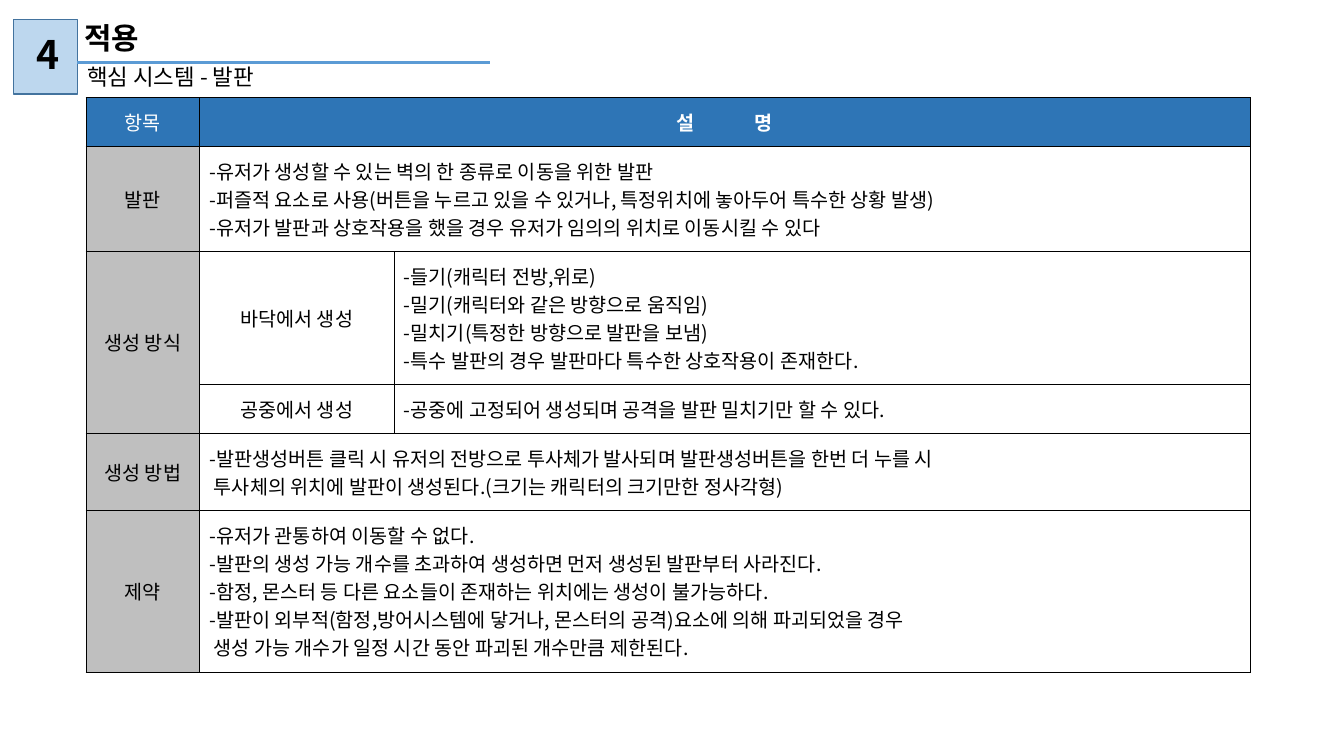
from pptx import Presentation
from pptx.dml.color import RGBColor
from pptx.enum.shapes import MSO_CONNECTOR, MSO_SHAPE
from pptx.enum.text import MSO_ANCHOR, PP_ALIGN
from pptx.oxml import parse_xml
from pptx.oxml.ns import nsdecls
from pptx.oxml.xmlchemy import OxmlElement
from pptx.util import Cm, Pt

KOREAN = "Noto Sans CJK KR"


def colour(code):
    return RGBColor.from_string(code)


def write(para, text, size=14, ink="000000", bold=False, font=KOREAN,
          align=PP_ALIGN.LEFT, leading=Pt(20), before=0):
    """Fill a paragraph; a newline in the text becomes a line break."""
    para.text = text
    para.alignment = align
    para.line_spacing = leading
    para.space_before = Pt(before)
    for span in para.runs:
        span.font.size = Pt(size)
        span.font.bold = bold
        span.font.name = font
        span.font.color.rgb = colour(ink)
        east_asian = OxmlElement("a:ea")
        east_asian.set("typeface", KOREAN)
        span.font._element.append(east_asian)


class Page:
    header_fill, label_fill = "2E75B6", "BFBFBF"
    line_height, inset = 0.71, 0.26

    def __init__(self, deck):
        self.shapes = deck.slides.add_slide(deck.slide_layouts[6]).shapes

    def rectangle(self, left, top, width, height, fill, edge):
        box = self.shapes.add_shape(MSO_SHAPE.RECTANGLE, Cm(left), Cm(top), Cm(width), Cm(height))
        box.shadow.inherit = False
        box.fill.solid()
        box.fill.fore_color.rgb = colour(fill)
        box.line.color.rgb = colour(edge)
        box.line.width = Pt(1)

    def rule(self, left, right, top, ink):
        line = self.shapes.add_connector(MSO_CONNECTOR.STRAIGHT, Cm(left), Cm(top), Cm(right), Cm(top))
        line.line.color.rgb = colour(ink)
        line.line.width = Pt(2)
        line._element.spPr.append(OxmlElement("a:effectLst"))

    def text(self, left, top, width, height, words, **style):
        box = self.shapes.add_textbox(Cm(left), Cm(top), Cm(width), Cm(height))
        box.text_frame.word_wrap = True
        box.text_frame.vertical_anchor = MSO_ANCHOR.MIDDLE
        write(box.text_frame.paragraphs[0], words, leading=0.9, **style)

    def table(self, left, top, widths, line_counts):
        heights = [self.line_height * count + 2 * self.inset for count in line_counts]
        grid = self.shapes.add_table(len(heights), len(widths), Cm(left), Cm(top),
                                     Cm(sum(widths)), Cm(sum(heights))).table
        grid.first_row = grid.horz_banding = False
        for column, width in zip(grid.columns, widths):
            column.width = Cm(width)
        for row, height in zip(grid.rows, heights):
            row.height = Cm(height)
        for cell in grid.iter_cells():
            cell.fill.background()
            self.borders(cell)
        return grid

    def borders(self, cell):
        properties = cell._tc.get_or_add_tcPr()
        for position, side in enumerate("LRTB"):
            properties.insert(position, parse_xml(
                f'<a:ln{side} {nsdecls("a")} w="9525"><a:solidFill>'
                f'<a:srgbClr val="000000"/></a:solidFill></a:ln{side}>'))

    def cell(self, grid, row, column, *texts, last=None, fill=None, **style):
        """Write one cell, merged as far as the (row, column) in last."""
        cell = grid.cell(row, column)
        if last:
            cell.merge(grid.cell(*last))
        if fill:
            cell.fill.solid()
            cell.fill.fore_color.rgb = colour(fill)
        cell.vertical_anchor = MSO_ANCHOR.MIDDLE
        cell.margin_left = cell.margin_right = Cm(0.25)
        cell.margin_top = cell.margin_bottom = Cm(self.inset)
        frame = cell.text_frame
        for number, text in enumerate(texts):
            write(frame.add_paragraph() if number else frame.paragraphs[0], text, **style)
        return frame.paragraphs[0]


def main():
    deck = Presentation()
    deck.slide_width, deck.slide_height = Cm(33.87), Cm(19.05)
    page = Page(deck)
    centre = PP_ALIGN.CENTER

    # Heading
    page.rectangle(0.34, 0.5, 1.61, 1.87, "BDD7EE", "43739E")
    page.rule(1.95, 12.35, 1.57, "5B9BD5")
    page.text(0.4, 0.46, 1.61, 1.92, "4", size=28, bold=True, align=centre)
    page.text(1.88, 0.46, 11.15, 1.08, "적용", size=21.3, bold=True, before=10)
    page.text(1.95, 1.57, 11.15, 0.8, "핵심 시스템 - 발판", size=16, before=10)

    # Table header, with the two syllables spread apart
    grid = page.table(2.17, 2.46, [2.86, 4.9, 21.57], [1, 3, 4, 1, 2, 5])
    header = dict(fill=page.header_fill, ink="FFFFFF", align=centre)
    page.cell(grid, 0, 0, "항목", **header)
    title = page.cell(grid, 0, 1, "설 명", last=(0, 2), bold=True, font="Arial", **header)
    title.runs[0].font._element.set("spc", "2000")

    # Row labels
    labels = [(1, "발판", None), (2, "생성 방식", (3, 0)), (4, "생성 방법", None), (5, "제약", None)]
    for row, label, last in labels:
        page.cell(grid, row, 0, label, last=last, fill=page.label_fill, align=centre)
    for row, label in [(2, "바닥에서 생성"), (3, "공중에서 생성")]:
        page.cell(grid, row, 1, label, align=centre)

    # Descriptions
    page.cell(grid, 1, 1,
              "-유저가 생성할 수 있는 벽의 한 종류로 이동을 위한 발판\n"
              "-퍼즐적 요소로 사용(버튼을 누르고 있을 수 있거나, 특정위치에 놓아두어 특수한 상황 발생)\n"
              "-유저가 발판과 상호작용을 했을 경우 유저가 임의의 위치로 이동시킬 수 있다",
              last=(1, 2))
    page.cell(grid, 2, 2,
              "-들기(캐릭터 전방,위로)\n"
              "-밀기(캐릭터와 같은 방향으로 움직임)\n"
              "-밀치기(특정한 방향으로 발판을 보냄)\n"
              "-특수 발판의 경우 발판마다 특수한 상호작용이 존재한다.")
    page.cell(grid, 3, 2, "-공중에 고정되어 생성되며 공격을 발판 밀치기만 할 수 있다.")
    page.cell(grid, 4, 1,
              "-발판생성버튼 클릭 시 유저의 전방으로 투사체가 발사되며 발판생성버튼을 한번 더 누를 시\n"
              " 투사체의 위치에 발판이 생성된다.(크기는 캐릭터의 크기만한 정사각형)",
              last=(4, 2))
    page.cell(grid, 5, 1,
              "-유저가 관통하여 이동할 수 없다.",
              "-발판의 생성 가능 개수를 초과하여 생성하면 먼저 생성된 발판부터 사라진다.",
              "-함정, 몬스터 등 다른 요소들이 존재하는 위치에는 생성이 불가능하다.",
              "-발판이 외부적(함정,방어시스템에 닿거나, 몬스터의 공격)요소에 의해 파괴되었을 경우\n"
              " 생성 가능 개수가 일정 시간 동안 파괴된 개수만큼 제한된다.",
              last=(5, 2))

    deck.save("out.pptx")


if __name__ == "__main__":
    main()
